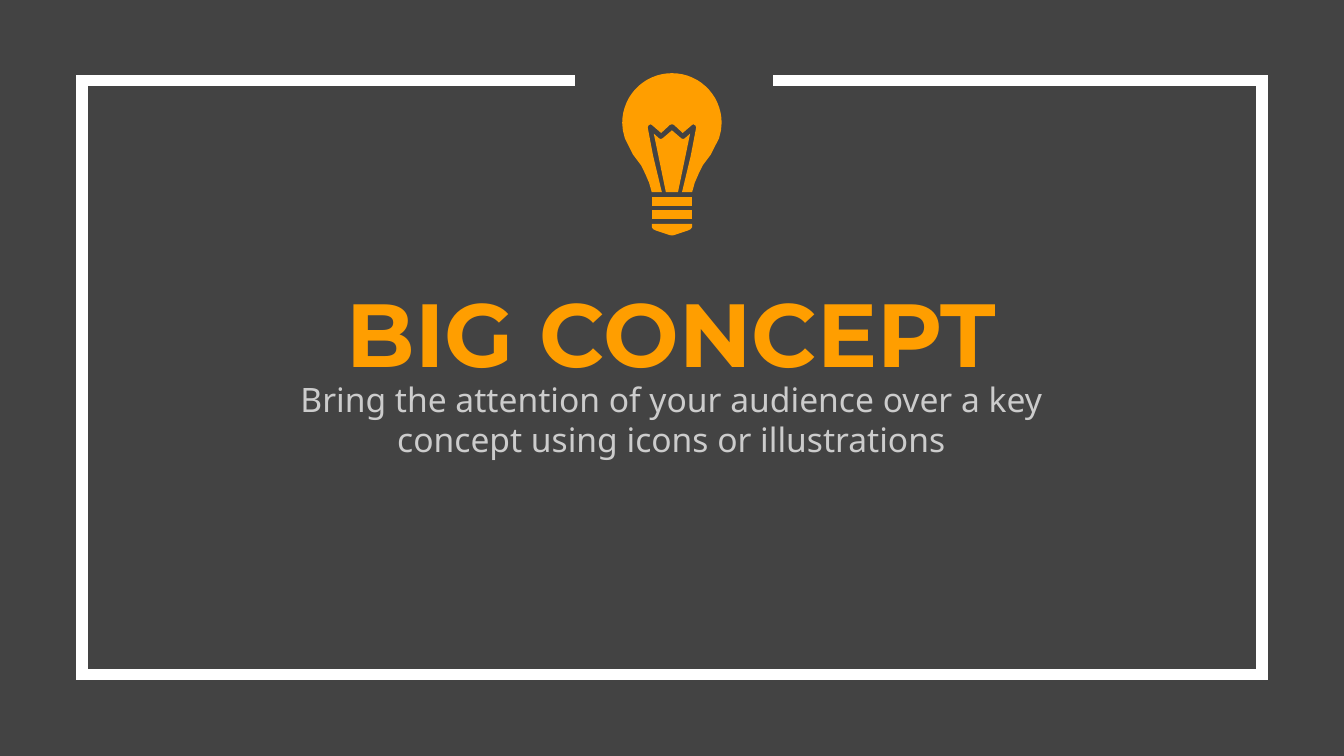
import math
from dataclasses import dataclass

import pptx
import pptx.dml.color
import pptx.enum.text
import pptx.oxml.ns
import pptx.util
from lxml import etree

# The slide is a grid of 1000 columns and 562.5 rows of square cells
COLUMNS, ROWS = 1000, 562.5
CELL = pptx.util.Inches(0.01)
AXIS = COLUMNS / 2

COLORS = {
    "background": "434343",
    "frame": "FFFFFF",
    "accent": "FF9E00",
    "body": "CCCCCC",
}

Points = list[tuple[float, float]]


@dataclass(frozen=True)
class Box:
    column: int
    row: int
    columns: int
    rows: int


@dataclass(frozen=True)
class HalfOutline:
    """Left half of a symmetric part: (columns left of the axis, row)."""
    points: Points


def color(name: str) -> pptx.dml.color.RGBColor:
    return pptx.dml.color.RGBColor.from_string(COLORS[name])


def mirror(half: Points) -> Points:
    left = [(AXIS - offset, row) for offset, row in half]
    right = [(AXIS + offset, row) for offset, row in reversed(half) if offset]
    return left + right


def add_outline(shapes, points: Points, *, closed: bool):
    corners = [(round(column * CELL), round(row * CELL))
               for column, row in points]
    builder = shapes.build_freeform(*corners[0])
    builder.add_line_segments(corners[1:], close=closed)
    shape = builder.convert_to_shape()
    shape.shadow.inherit = False
    return shape


def add_frame(shapes, points: Points, *, width: float) -> None:
    shape = add_outline(shapes, points, closed=False)
    shape.fill.background()
    shape.line.color.rgb = color("frame")
    shape.line.width = pptx.util.Pt(width)
    line = shape.line.fill._xPr
    miter = etree.SubElement(line, pptx.oxml.ns.qn("a:miter"))
    miter.set("lim", "800000")


def add_bulb_part(shapes, part: HalfOutline) -> None:
    shape = add_outline(shapes, mirror(part.points), closed=True)
    shape.fill.solid()
    shape.fill.fore_color.rgb = color("accent")
    shape.line.fill.background()


def add_text(shapes, text: str, box: Box, *, font: str, size: float,
             fill: str, bold: bool = False) -> None:
    shape = shapes.add_textbox(box.column * CELL, box.row * CELL,
                               box.columns * CELL, box.rows * CELL)
    frame = shape.text_frame
    frame.word_wrap = True
    frame.vertical_anchor = pptx.enum.text.MSO_ANCHOR.TOP
    frame.margin_left = frame.margin_right = 10 * CELL
    frame.margin_top = frame.margin_bottom = 10 * CELL
    paragraph = frame.paragraphs[0]
    paragraph.alignment = pptx.enum.text.PP_ALIGN.CENTER
    run = paragraph.add_run()
    run.text = text
    run.font.name = font
    run.font.size = pptx.util.Pt(size)
    run.font.bold = bold
    run.font.color.rgb = color(fill)


def band(top: float) -> HalfOutline:
    return HalfOutline([(15, top), (15, top + 6.5)])


# Frame, with a gap for the bulb in its top edge
LEFT, TOP, RIGHT, BOTTOM = 61, 60, 939, 502
FRAME = [(427.5, TOP), (LEFT, TOP), (LEFT, BOTTOM),
         (RIGHT, BOTTOM), (RIGHT, TOP), (575.5, TOP)]

# Glass: a half circle, the neck, then the slot around the filament
GLASS_RADIUS, GLASS_ROW = 37, 91.5
DOME = [(GLASS_RADIUS * math.sin(math.radians(angle)),
         GLASS_ROW - GLASS_RADIUS * math.cos(math.radians(angle)))
        for angle in range(0, 91, 6)]
NECK = [(36.5, 97), (35, 103), (32, 109), (29, 115), (23, 123),
        (20, 129), (17, 136), (15, 143)]
SLOT = [(7.5, 143), (14, 116), (18, 95), (17.5, 93.5), (16, 92.5), (15, 93),
        (8, 99), (1.5, 93), (0, 92.5)]

BULB = [
    band(156.5),
    band(146.5),
    HalfOutline([(15, 166.5), (15, 169), (14, 170.5), (12, 171.5),
                 (1.5, 175), (0, 175.2)]),
    HalfOutline([(0, 97), (7, 103), (8.5, 103.5), (9.5, 103), (13.5, 99.5),
                 (4.5, 143)]),
    HalfOutline(DOME + NECK + SLOT),
]


def main() -> None:
    presentation = pptx.Presentation()
    presentation.slide_width = COLUMNS * CELL
    presentation.slide_height = round(ROWS * CELL)
    slide = presentation.slides.add_slide(presentation.slide_layouts[6])
    slide.background.fill.solid()
    slide.background.fill.fore_color.rgb = color("background")

    # Frame
    add_frame(slide.shapes, FRAME, width=6)

    # Title and subtitle
    add_text(slide.shapes, "BIG CONCEPT", Box(175, 197, 649, 127),
             font="Montserrat", size=48, fill="accent", bold=True)
    add_text(slide.shapes,
             "Bring the attention of your audience over a key concept "
             "using icons or illustrations",
             Box(175, 272, 649, 86),
             font="Noto Sans", size=18, fill="body")

    # Light bulb
    bulb = slide.shapes.add_group_shape()
    for part in BULB:
        add_bulb_part(bulb.shapes, part)

    presentation.save("out.pptx")


if __name__ == "__main__":
    main()
